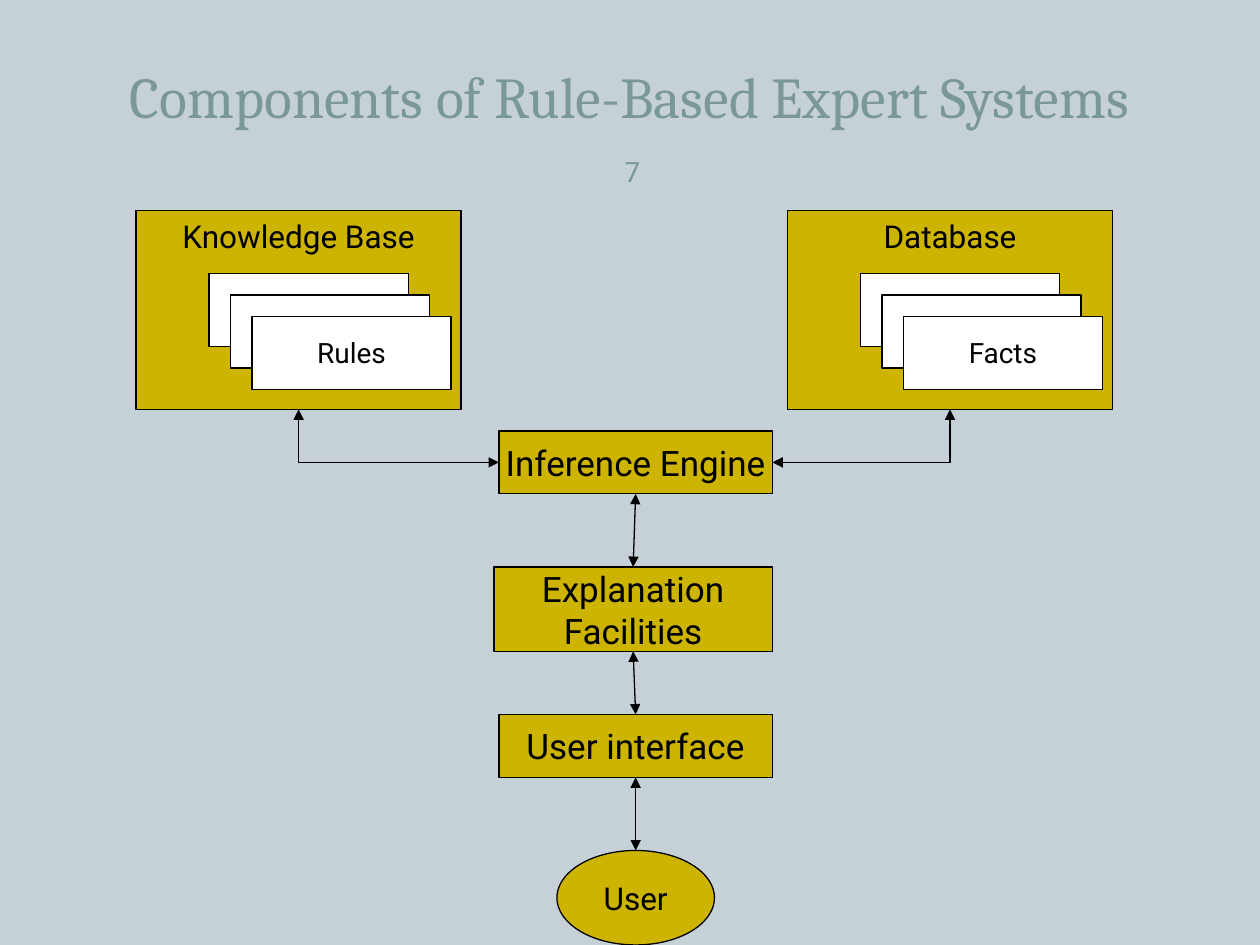
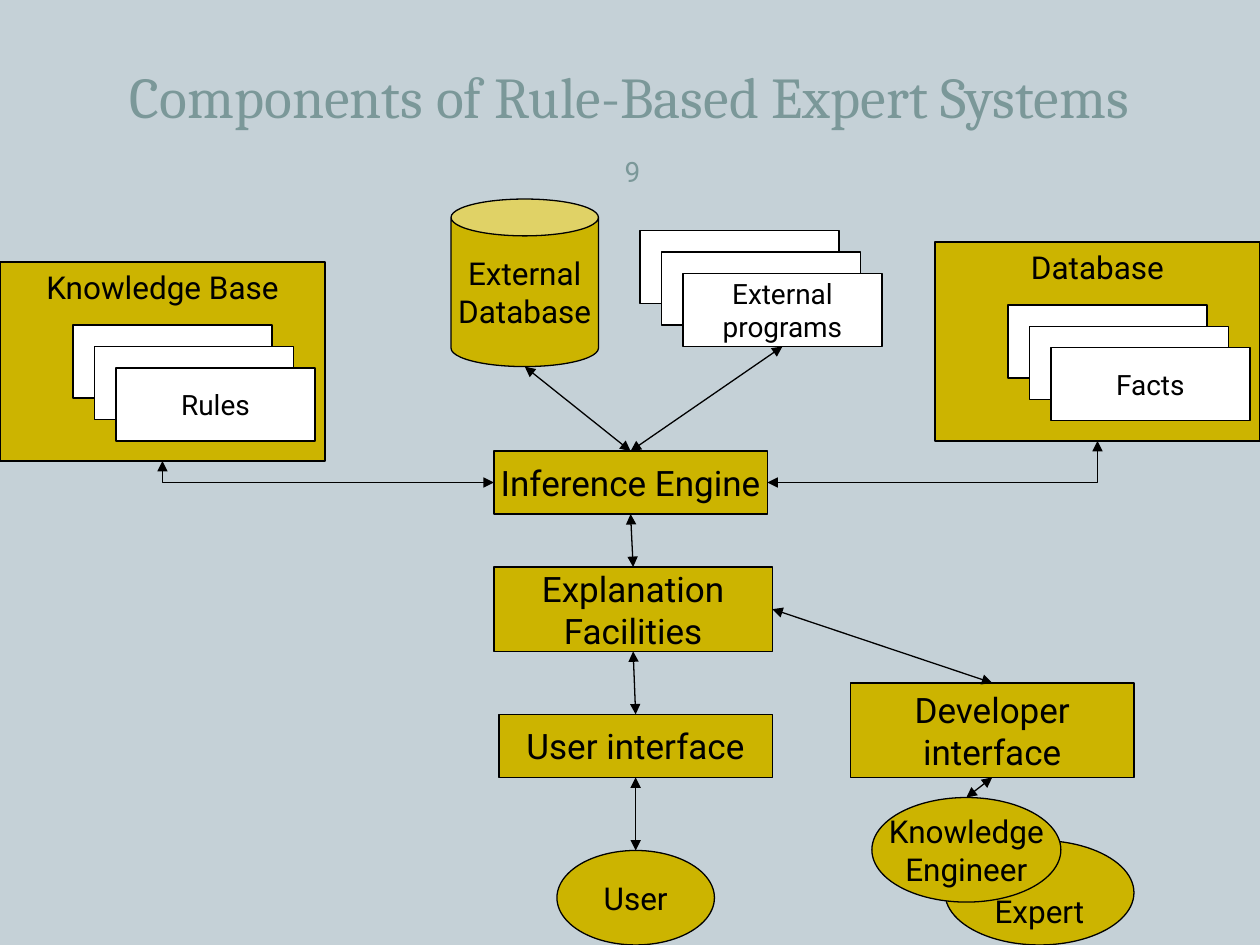
from lxml import etree
from pptx import Presentation
from pptx.dml.color import RGBColor
from pptx.enum.shapes import MSO_CONNECTOR, MSO_SHAPE
from pptx.enum.text import MSO_ANCHOR, PP_ALIGN
from pptx.oxml.ns import qn
from pptx.util import Inches, Pt

RECT, OVAL, CAN = MSO_SHAPE.RECTANGLE, MSO_SHAPE.OVAL, MSO_SHAPE.CAN
STRAIGHT, ELBOW = MSO_CONNECTOR.STRAIGHT, MSO_CONNECTOR.ELBOW
ANCHOR_TOP, MIDDLE, ANCHOR_BOTTOM = MSO_ANCHOR.TOP, MSO_ANCHOR.MIDDLE, MSO_ANCHOR.BOTTOM
CENTER = PP_ALIGN.CENTER
TOP, LEFT, BOTTOM, RIGHT = range(4)

THEME = {
    "background": RGBColor(0xC5, 0xD1, 0xD7),
    "heading": RGBColor(0x7B, 0x98, 0x99),
    "gold": RGBColor(0xCC, 0xB4, 0x00),
    "white": RGBColor(0xFF, 0xFF, 0xFF),
    "ink": RGBColor(0, 0, 0),
    "title_font": "Cambria",
    "body_font": "Roboto",
    "title_size": Pt(33),
    "stage_size": Pt(20),
    "label_size": Pt(18),
    "card_size": Pt(16),
    "line": Pt(0.75),
}


def add_box(shapes, kind, bounds, text="", size=THEME["stage_size"],
            fill=THEME["gold"], anchor=MIDDLE):
    box = shapes.add_shape(kind, *map(Inches, bounds))
    box.shadow.inherit = False
    box.fill.solid()
    box.fill.fore_color.rgb = fill
    box.line.color.rgb = THEME["ink"]
    box.line.width = THEME["line"]
    frame = box.text_frame
    frame.word_wrap = False
    frame.vertical_anchor = anchor
    frame.text = text
    for paragraph in frame.paragraphs:
        paragraph.alignment = CENTER
        for run in paragraph.runs:
            run.font.size = size
            run.font.name = THEME["body_font"]
            run.font.color.rgb = THEME["ink"]
    return box


def link(slide, start, start_side, end, end_side, route=STRAIGHT):
    connector = slide.shapes.add_connector(route, 0, 0, 0, 0)
    if start.auto_shape_type == CAN:
        connector.begin_x = start.left + start.width // 2
        connector.begin_y = start.top + start.height
    else:
        connector.begin_connect(start, start_side)
    connector.end_connect(end, end_side)
    connector.line.color.rgb = THEME["ink"]
    connector.line.width = THEME["line"]
    properties = connector.element.spPr
    if route == ELBOW:
        properties.find(qn("a:prstGeom")).set("prst", "bentConnector2")
    for tip in ("a:headEnd", "a:tailEnd"):
        etree.SubElement(properties.find(qn("a:ln")), qn(tip), type="triangle")
    etree.SubElement(properties, qn("a:effectLst"))


deck = Presentation()
deck.slide_width, deck.slide_height = Inches(10), Inches(7.5)
background = deck.slide_master.background.fill
background.solid()
background.fore_color.rgb = THEME["background"]

diagrams = [
    ("7", (3.96, 3.42), [("Knowledge Base", "Rules", 1.08, 1.67),
                         ("Database", "Facts", 6.25, 1.67)]),
    ("9", (3.92, 3.58), [("Knowledge Base", "Rules", 0, 2.08),
                         ("Database", "Facts", 7.42, 1.92),
                         ("", "External\nprograms", 4.5, 1.33)]),
]

for page, engine_corner, stores in diagrams:
    slide = deck.slides.add_slide(deck.slide_layouts[5])
    title = slide.shapes.title
    title.left, title.top, title.width, title.height = map(Inches, (0.33, 0.25, 9.33, 0.83))
    title.text_frame.text = "Components of Rule-Based Expert Systems"
    title.text_frame.vertical_anchor = ANCHOR_BOTTOM
    page_number = slide.shapes.add_textbox(*map(Inches, (4.77, 1.12, 0.5, 0.48)))
    page_number.text_frame.text = page
    page_number.text_frame.word_wrap = True
    page_number.text_frame.vertical_anchor = MIDDLE
    page_number.text_frame.margin_left = page_number.text_frame.margin_right = Inches(0.05)
    for heading, font, size in ((title, "title_font", "title_size"),
                                (page_number, "body_font", "card_size")):
        paragraph = heading.text_frame.paragraphs[0]
        paragraph.alignment = CENTER
        run = paragraph.runs[0]
        run.font.name = THEME[font]
        run.font.size = THEME[size]
        run.font.color.rgb = THEME["heading"]

    panels, front_cards = [], []
    for store, content, left, top in stores:
        group = slide.shapes.add_group_shape()
        if store:
            panels.append(add_box(group.shapes, RECT, (left, top, 2.58, 1.58), store,
                                  THEME["label_size"], anchor=ANCHOR_TOP))
        for step, label in enumerate(("", "", content)):
            card = add_box(group.shapes, RECT,
                           (left + 0.58 + step * 0.17, top + 0.5 + step * 0.17, 1.58, 0.58),
                           label, THEME["card_size"], THEME["white"])
        front_cards.append(card)

    engine = add_box(slide.shapes, RECT, (*engine_corner, 2.17, 0.5), "Inference Engine")
    explanation = add_box(slide.shapes, RECT, (3.92, 4.5, 2.21, 0.67),
                          "Explanation\nFacilities")
    interface = add_box(slide.shapes, RECT, (3.96, 5.67, 2.17, 0.5), "User interface")
    user = add_box(slide.shapes, OVAL, (4.42, 6.75, 1.25, 0.75), "User", THEME["label_size"])

    for side, panel in zip((LEFT, RIGHT), panels):
        link(slide, engine, side, panel, BOTTOM, ELBOW)
    for upper, lower in ((engine, explanation), (explanation, interface), (interface, user)):
        link(slide, upper, BOTTOM, lower, TOP)

external_database = add_box(slide.shapes, CAN, (3.58, 1.58, 1.17, 1.33),
                            "External\nDatabase", THEME["label_size"])
developer = add_box(slide.shapes, RECT, (6.75, 5.42, 2.25, 0.75), "Developer\ninterface")
expert = add_box(slide.shapes, OVAL, (7.5, 6.67, 1.5, 0.83), "Expert",
                 THEME["label_size"], anchor=ANCHOR_BOTTOM)
expert.text_frame.margin_bottom = 0
engineer = add_box(slide.shapes, OVAL, (6.92, 6.33, 1.5, 0.83),
                   "Knowledge\nEngineer", THEME["label_size"])

link(slide, external_database, BOTTOM, engine, TOP)
link(slide, front_cards[-1], BOTTOM, engine, TOP)
link(slide, engineer, TOP, developer, BOTTOM)
link(slide, developer, TOP, explanation, RIGHT)

deck.save("out.pptx")
